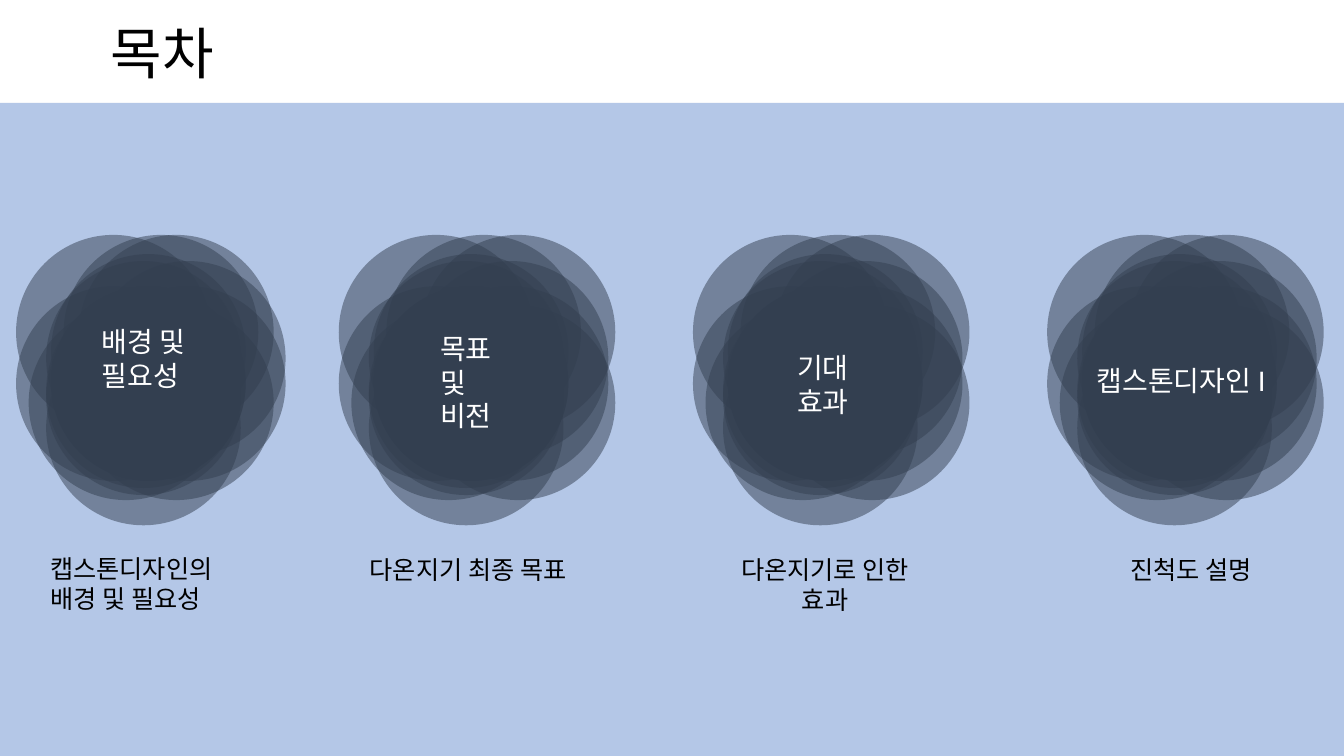
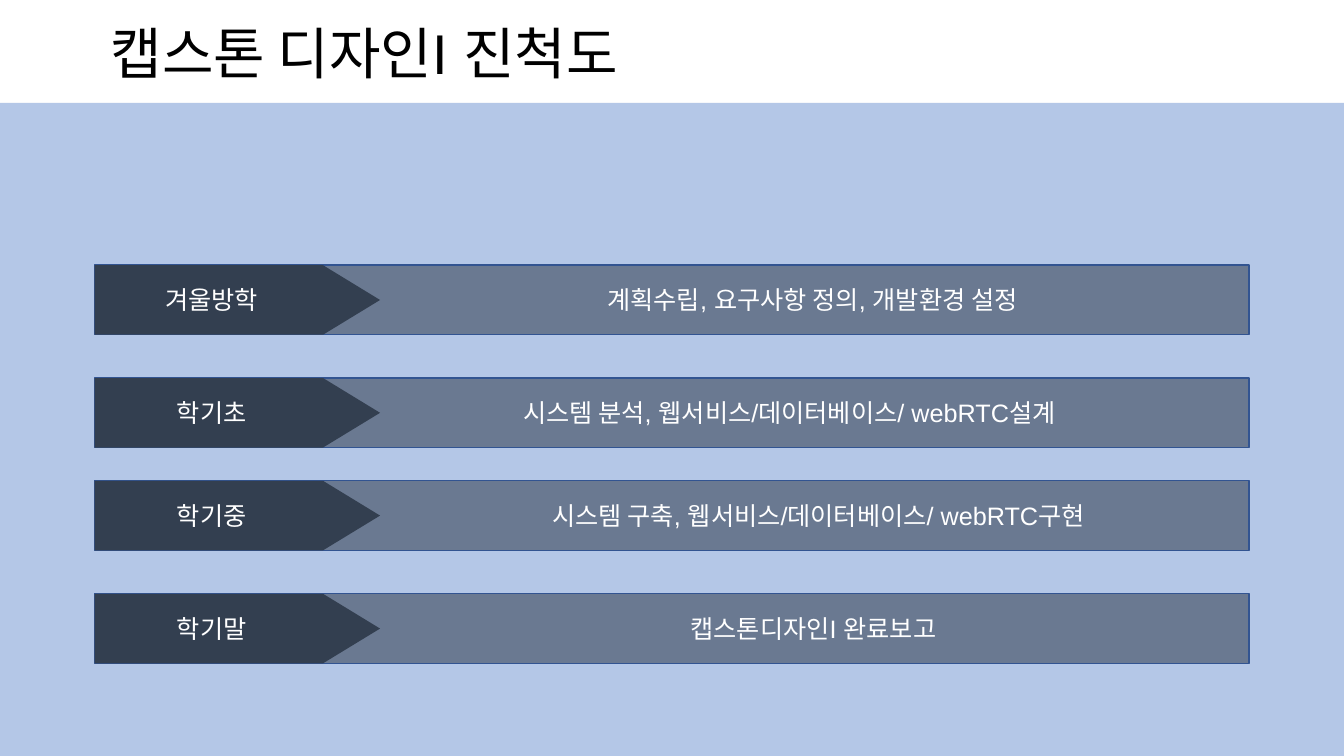
import lxml.etree
import pptx
import pptx.dml.color
import pptx.enum.shapes
import pptx.enum.text
import pptx.oxml.ns
import pptx.util

Pt = pptx.util.Pt
RGBColor = pptx.dml.color.RGBColor
MSO_SHAPE = pptx.enum.shapes.MSO_SHAPE
PP_ALIGN = pptx.enum.text.PP_ALIGN

PALE_BLUE = RGBColor(0xB4, 0xC7, 0xE7)
NAVY = RGBColor(0x33, 0x3F, 0x50)
OUTLINE_BLUE = RGBColor(0x32, 0x54, 0x91)
WHITE = RGBColor(0xFF, 0xFF, 0xFF)
BLACK = RGBColor(0, 0, 0)
FONT = "Arial"
SLIDE_WIDTH, SLIDE_HEIGHT = 960, 540
BAND_TOP = 73.5


def add_filled_shape(slide, kind, left, top, width, height, color, opacity=100):
    """Add a shape without outline; opacity is a percentage."""
    shape = slide.shapes.add_shape(kind, Pt(left), Pt(top), Pt(width), Pt(height))
    shape.shadow.inherit = False
    shape.line.fill.background()
    shape.fill.solid()
    shape.fill.fore_color.rgb = color
    if opacity < 100:
        color_element = next(shape._element.spPr.iter(pptx.oxml.ns.qn("a:srgbClr")))
        alpha = lxml.etree.SubElement(color_element, pptx.oxml.ns.qn("a:alpha"))
        alpha.set("val", str(opacity * 1000))
    return shape


def add_text(slide, text, left, top, width, height, size, color, align=PP_ALIGN.LEFT):
    box = slide.shapes.add_textbox(Pt(left), Pt(top), Pt(width), Pt(height))
    box.text_frame.word_wrap = True
    box.text_frame.text = text
    for paragraph in box.text_frame.paragraphs:
        paragraph.alignment = align
        for run in paragraph.runs:
            run.font.name = FONT
            run.font.size = Pt(size)
            run.font.color.rgb = color


presentation = pptx.Presentation()
presentation.slide_width = Pt(SLIDE_WIDTH)
presentation.slide_height = Pt(SLIDE_HEIGHT)

# Shared frame: title line above a pale blue area
title_layout = presentation.slide_layouts[5]
layout_title = title_layout.placeholders[0]
layout_title.left, layout_title.top = Pt(0), Pt(9.4)
layout_title.width, layout_title.height = Pt(SLIDE_WIDTH), Pt(55.4)

slides = []
for title in ("목차", "캡스톤 디자인I 진척도"):
    slide = presentation.slides.add_slide(title_layout)
    add_filled_shape(slide, MSO_SHAPE.RECTANGLE, 0, BAND_TOP,
                     SLIDE_WIDTH, SLIDE_HEIGHT - BAND_TOP, PALE_BLUE)
    title_frame = slide.shapes.title.text_frame
    title_frame.text = title
    title_frame.auto_size = pptx.enum.text.MSO_AUTO_SIZE.NONE
    title_frame.vertical_anchor = pptx.enum.text.MSO_ANCHOR.TOP
    title_frame.margin_left = Pt(79.2)
    paragraph = title_frame.paragraphs[0]
    paragraph.alignment = PP_ALIGN.LEFT
    font = paragraph.runs[0].font
    font.name = FONT
    font.size = Pt(40)
    font.color.rgb = BLACK
    slides.append(slide)
contents_slide, progress_slide = slides

# Contents: four clusters of overlapping translucent circles
CLUSTER_TOP = 167.8
CIRCLE_SIZE = 139
CIRCLE_OFFSETS = [
    (9, 50.4), (58.5, 50.4), (58.5, 0), (34, 0), (0, 0),
    (0, 36.7), (25, 36.7), (25, 13.7), (25, 36.7), (53.5, 36.7),
    (53.5, 18.7), (21.5, 18.7), (21.5, 41.8), (21.5, 68.4), (21.5, 46.8),
]
# The first cluster is narrower: its outermost circles sit further in
NARROW_OFFSETS = [(45 if x == 58.5 else x, y) for x, y in CIRCLE_OFFSETS]

# cluster left, offsets, label and its box, caption and its box, caption alignment
topics = [
    (11.5, NARROW_OFFSETS, "배경 및\n필요성", (65.5, 228.2, 76.3, 80),
     "캡스톤디자인의\n배경 및 필요성", (28.8, 391.7, 149.8, 51), PP_ALIGN.LEFT),
    (242, CIRCLE_OFFSETS, "목표\n및 비전", (307.4, 233.3, 67, 80),
     "다온지기 최종 목표", (257, 392.4, 169.2, 29), PP_ALIGN.LEFT),
    (495, CIRCLE_OFFSETS, "기대효과", (562.3, 247, 67, 55.4),
     "다온지기로 인한 효과", (504.7, 392.4, 169.2, 51), PP_ALIGN.CENTER),
    (748, CIRCLE_OFFSETS, "캡스톤디자인 I", (776.2, 256.3, 159.8, 31.7),
     "진척도 설명", (766, 392.4, 169.2, 29), PP_ALIGN.CENTER),
]
for cluster_left, offsets, label, label_box, caption, caption_box, align in topics:
    for x, y in offsets:
        add_filled_shape(contents_slide, MSO_SHAPE.OVAL, cluster_left + x, CLUSTER_TOP + y,
                         CIRCLE_SIZE, CIRCLE_SIZE, NAVY, 50)
    add_text(contents_slide, label, *label_box, 20, WHITE)
    add_text(contents_slide, caption, *caption_box, 18, BLACK, align)

# Progress: one bar per period, with a pointed tag at its left end
BAR_LEFT, BAR_WIDTH, BAR_HEIGHT = 67.7, 824.4, 49.7
TAG_LENGTH = 203.8
TEXT_INSET, TEXT_HEIGHT = 10.1, 29

# bar top, period, tasks, left and width of the tasks' text
periods = [
    (189.4, "겨울방학", "계획수립, 요구사항 정의, 개발환경 설정", 277.2, 606.2),
    (270, "학기초", "시스템 분석, 웹서비스/데이터베이스/ webRTC설계", 313.9, 499.7),
    (343.4, "학기중", "시스템 구축, 웹서비스/데이터베이스/ webRTC구현", 313.9, 541.4),
    (424.1, "학기말", "캡스톤디자인I 완료보고", 313.9, 534.2),
]
for bar_top, period, tasks, tasks_left, tasks_width in periods:
    bar = add_filled_shape(progress_slide, MSO_SHAPE.RECTANGLE, BAR_LEFT, bar_top,
                           BAR_WIDTH, BAR_HEIGHT, NAVY, 57)
    bar.line.color.rgb = OUTLINE_BLUE
    bar.line.width = Pt(1)
    # The tag stands upright before it is turned about its centre
    turn_shift = (TAG_LENGTH - BAR_HEIGHT) / 2
    tag = add_filled_shape(progress_slide, MSO_SHAPE.FLOWCHART_OFFPAGE_CONNECTOR,
                           BAR_LEFT + turn_shift, bar_top - turn_shift,
                           BAR_HEIGHT, TAG_LENGTH, NAVY)
    tag.rotation = 270
    text_top = bar_top + TEXT_INSET
    add_text(progress_slide, period, 92.9, text_top, 116.6, TEXT_HEIGHT,
             18, WHITE, PP_ALIGN.CENTER)
    add_text(progress_slide, tasks, tasks_left, text_top, tasks_width, TEXT_HEIGHT,
             18, WHITE, PP_ALIGN.CENTER)

presentation.save("out.pptx")
